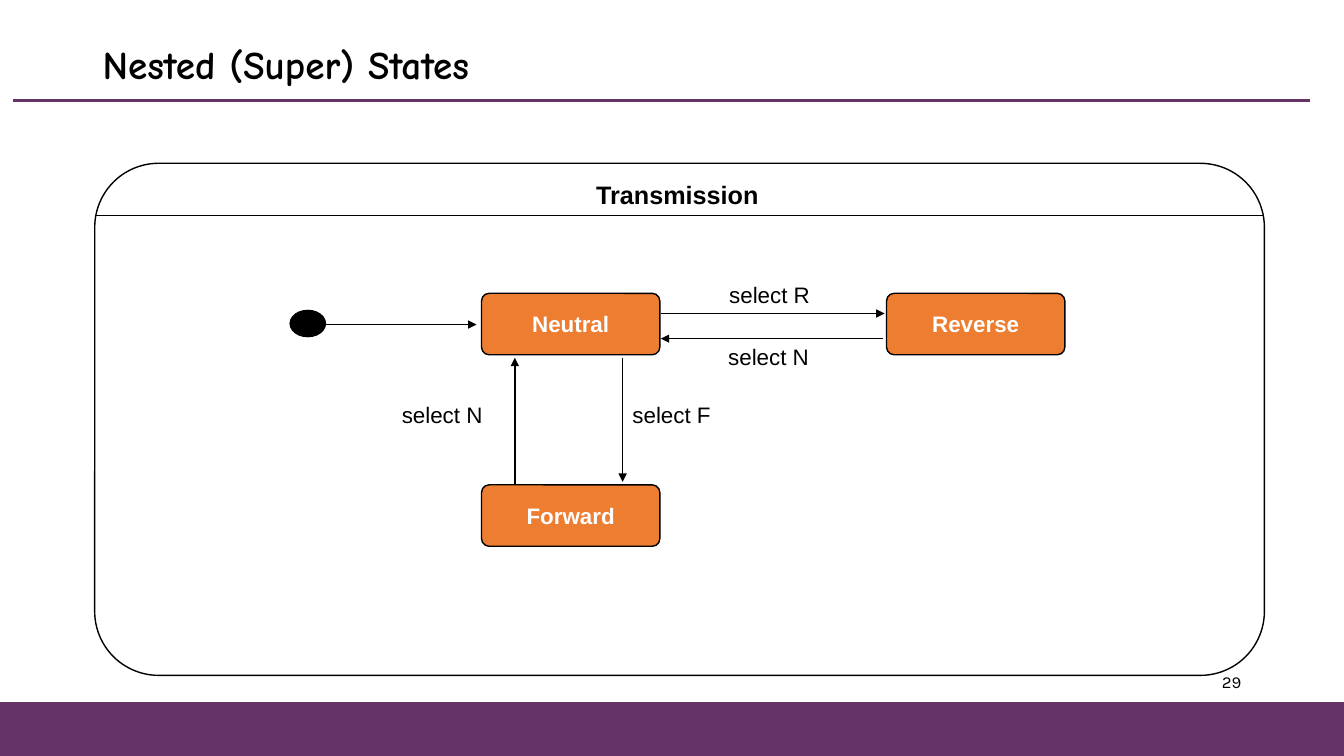
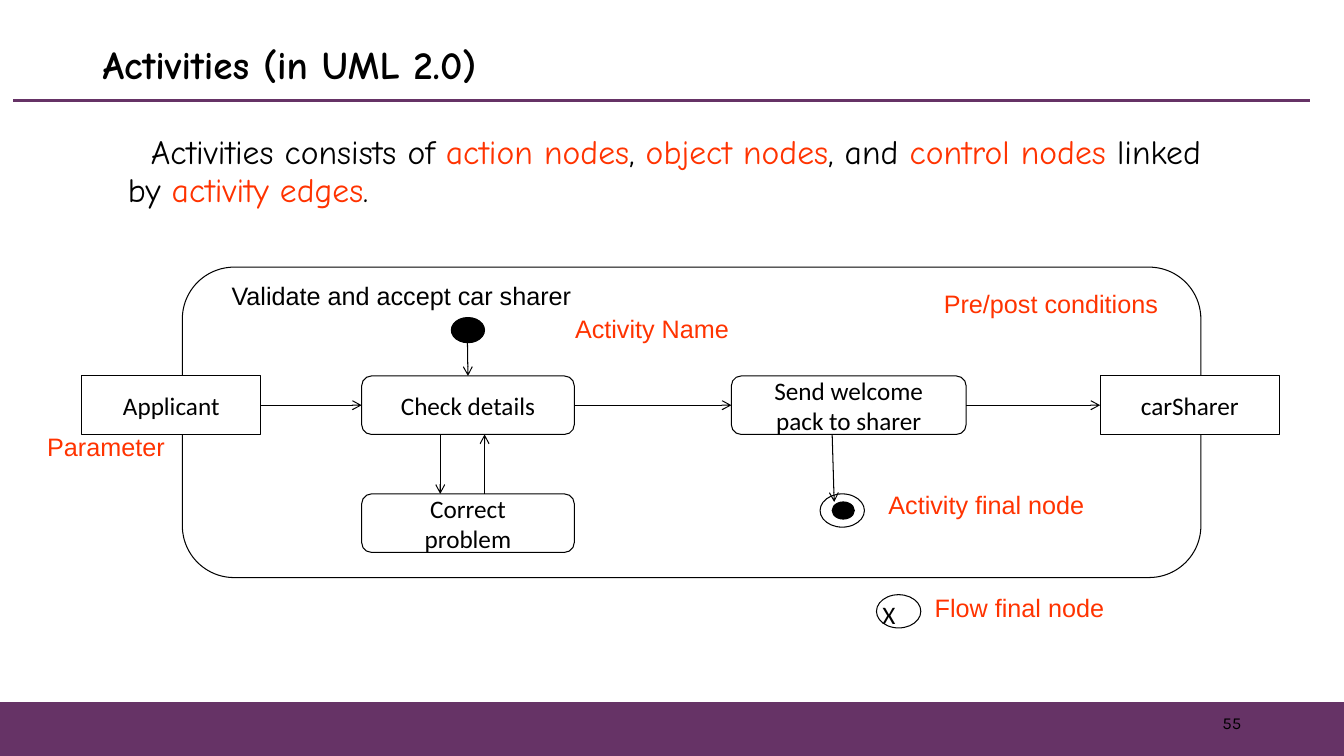
from dataclasses import dataclass

from lxml.etree import SubElement
from pptx import Presentation
from pptx.dml.color import RGBColor
from pptx.enum.shapes import MSO_CONNECTOR as Connector, MSO_SHAPE as Shape
from pptx.enum.text import MSO_ANCHOR as Anchor, PP_ALIGN as Align
from pptx.oxml.ns import qn
from pptx.util import Pt

EMU_PER_PX = 9144
SLIDE_W, SLIDE_H = 1334, 750
TOP, LEFT, RIGHT = 0, 1, 3


@dataclass(frozen=True)
class Theme:
    black: str = "000000"
    white: str = "FFFFFF"
    purple: str = "663366"
    orange: str = "ED7D31"
    red: str = "FF3300"
    head_font: str = "Comic Neue"
    label_font: str = "Arial"
    node_font: str = "Calibri"
    page_font: str = "Karla"
    title_size: int = 28
    body_size: int = 24
    node_size: int = 18
    state_size: int = 16
    page_size: int = 12
    rule: float = 2.25
    bold_line: float = 1
    thin_line: float = 0.75


THEME = Theme()


def px(n):
    return n * EMU_PER_PX


def rgb(color):
    return RGBColor.from_string(color)


def add_run(p, text, font, size, color=THEME.black, bold=False):
    r = p.add_run()
    r.text = text
    r.font.name = font
    r.font.size = Pt(size)
    r.font.bold = bold
    r.font.color.rgb = rgb(color)


def add_box(slide, x, y, w, h, anchor=Anchor.TOP):
    tf = slide.shapes.add_textbox(px(x), px(y), px(w), px(h)).text_frame
    tf.word_wrap = True
    tf.vertical_anchor = anchor
    return tf


def add_label(slide, x, y, w, text, size=THEME.node_size, color=THEME.black,
              font=THEME.label_font, bold=False):
    p = add_box(slide, x, y, w, 40).paragraphs[0]
    add_run(p, text, font, size, color, bold)


def add_node(slide, kind, x, y, w, h, fill=None, line=THEME.black,
             weight=THEME.thin_line, radius=None):
    sp = slide.shapes.add_shape(kind, px(x), px(y), px(w), px(h))
    sp.shadow.inherit = False
    if fill:
        sp.fill.solid()
        sp.fill.fore_color.rgb = rgb(fill)
    else:
        sp.fill.background()
    sp.line.color.rgb = rgb(line)
    sp.line.width = Pt(weight)
    if radius is not None:
        sp.adjustments[0] = radius
    return sp


def set_node_text(sp, lines, font, size, color=THEME.black, bold=False):
    tf = sp.text_frame
    tf.word_wrap = False
    tf.vertical_anchor = Anchor.MIDDLE
    for i, line in enumerate(lines):
        p = tf.add_paragraph() if i else tf.paragraphs[0]
        p.alignment = Align.CENTER
        add_run(p, line, font, size, color, bold)


def add_line(slide, x1, y1, x2, y2, color=THEME.black, weight=THEME.thin_line, arrow=None):
    cx = slide.shapes.add_connector(Connector.STRAIGHT, px(x1), px(y1), px(x2), px(y2))
    cx.line.color.rgb = rgb(color)
    cx.line.width = Pt(weight)
    if arrow:
        SubElement(cx.line._get_or_add_ln(), qn("a:tailEnd"), type=arrow)
    SubElement(cx._element.spPr, qn("a:effectLst"))
    return cx


def add_state(slide, x, y, name):
    sp = add_node(slide, Shape.ROUNDED_RECTANGLE, x, y, 177, 61, THEME.orange,
                  weight=THEME.bold_line, radius=0.125)
    set_node_text(sp, [name], THEME.label_font, THEME.state_size, THEME.white, True)


def add_action(slide, x, y, w, *lines):
    sp = add_node(slide, Shape.ROUNDED_RECTANGLE, x, y, w, 58, THEME.white, radius=0.167)
    set_node_text(sp, lines, THEME.node_font, THEME.node_size)
    return sp


def add_object(slide, x, y, name):
    sp = add_node(slide, Shape.RECTANGLE, x, y, 178, 58, THEME.white)
    set_node_text(sp, [name], THEME.node_font, THEME.node_size)
    return sp


def add_frame(prs, title, page, page_y):
    slide = prs.slides.add_slide(prs.slide_layouts[6])
    add_node(slide, Shape.RECTANGLE, 0, 697, SLIDE_W, SLIDE_H - 697,
             THEME.purple, THEME.purple, THEME.bold_line)
    add_line(slide, 13, 100, 1300, 100, THEME.purple, THEME.rule)
    p = add_box(slide, 92, 30, 1150, 73, Anchor.MIDDLE).paragraphs[0]
    p.line_spacing = 0.9
    add_run(p, title, THEME.head_font, THEME.title_size, bold=True)
    p = add_box(slide, 942, page_y, 300, 40, Anchor.MIDDLE).paragraphs[0]
    p.alignment = Align.RIGHT
    add_run(p, page, THEME.page_font, THEME.page_size)
    return slide


def build_states(prs):
    slide = add_frame(prs, "Nested (Super) States", "29", 656)
    add_node(slide, Shape.ROUNDED_RECTANGLE, 94, 162, 1161, 508,
             weight=THEME.bold_line, radius=0.125)
    add_label(slide, 582, 173, 210, "Transmission", bold=True)
    add_line(slide, 94, 214, 1254, 214, weight=THEME.bold_line)

    for x, y, name in ((478, 291, "Neutral"), (478, 481, "Forward"), (880, 291, "Reverse")):
        add_state(slide, x, y, name)
    add_node(slide, Shape.OVAL, 288, 308, 35, 26, THEME.black, weight=THEME.bold_line)

    for ends in ((324, 322, 473, 322), (656, 311, 878, 311), (876, 336, 656, 336),
                 (618, 355, 618, 478), (511, 480, 511, 355)):
        add_line(slide, *ends, weight=THEME.bold_line, arrow="triangle")

    for x, y, text in ((714, 274, "select R"), (713, 336, "select N"),
                       (618, 393, "select F"), (389, 393, "select N")):
        add_label(slide, x, y, 120, text, THEME.state_size)


def add_definition(slide):
    p = add_box(slide, 92, 128, 1140, 90).paragraphs[0]
    p.line_spacing = 0.95
    pPr = p._p.get_or_add_pPr()
    pPr.set("marL", str(px(25)))
    pPr.set("indent", str(px(23)))
    for text, color in (
        ("Activities consists of ", THEME.black), ("action nodes", THEME.red),
        (",", THEME.black), (" object nodes", THEME.red),
        (", and", THEME.black), (" control nodes ", THEME.red),
        ("linked by", THEME.black), (" activity edges", THEME.red),
        (".", THEME.black),
    ):
        add_run(p, text, THEME.head_font, THEME.body_size, color)


def build_activities(prs):
    slide = add_frame(prs, "Activities (in UML 2.0)", "55", 697)
    add_definition(slide)
    add_node(slide, Shape.ROUNDED_RECTANGLE, 181, 265, 1011, 308, radius=0.167)
    add_label(slide, 220, 273, 533, "Validate and accept car sharer")

    flow_y = 373
    applicant = add_object(slide, 81, flow_y, "Applicant")
    check = add_action(slide, 359, flow_y, 211, "Check details")
    welcome = add_action(slide, 726, flow_y, 233, "Send welcome", "pack to sharer")
    sharer = add_object(slide, 1092, flow_y, "carSharer")
    add_action(slide, 359, 490, 211, "Correct", "problem")

    flow = (applicant, check, welcome, sharer)
    for source, target in zip(flow, flow[1:]):
        cx = add_line(slide, 0, 0, 0, 0, arrow="arrow")
        cx.begin_connect(source, RIGHT)
        cx.end_connect(target, LEFT)

    add_node(slide, Shape.OVAL, 448, 315, 33, 25, THEME.black)
    add_line(slide, 464, 340, 464, flow_y, arrow="arrow").end_connect(check, TOP)

    add_node(slide, Shape.OVAL, 814, 490, 44, 33, THEME.white)
    add_node(slide, Shape.OVAL, 826, 498, 22, 17, THEME.black)
    for ends in ((437, 431, 437, 490), (481, 490, 481, 431), (826, 431, 828, 498)):
        add_line(slide, *ends, arrow="arrow")

    add_node(slide, Shape.OVAL, 870, 590, 44, 33, THEME.white)
    add_label(slide, 866, 590, 45, "X", font=THEME.node_font)

    for x, y, text in (
        (37, 423, "Parameter"),
        (561, 306, "Activity Name"),
        (927, 281, "Pre/post conditions"),
        (872, 481, "Activity final node"),
        (918, 583, "Flow final node"),
    ):
        add_label(slide, x, y, 260, text, color=THEME.red)


def main():
    prs = Presentation()
    prs.slide_width, prs.slide_height = px(SLIDE_W), px(SLIDE_H)
    build_states(prs)
    build_activities(prs)
    prs.save("out.pptx")


if __name__ == "__main__":
    main()
